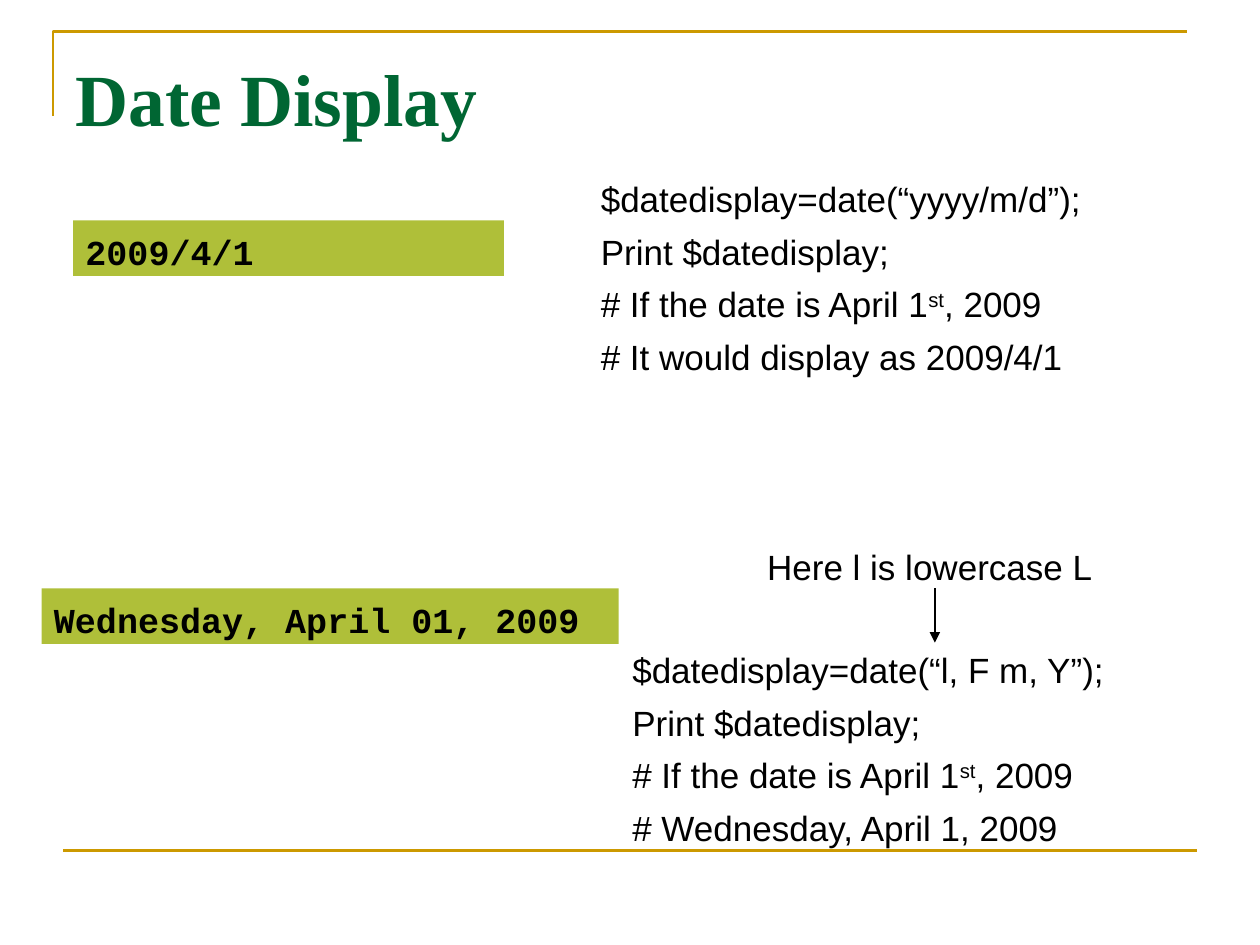
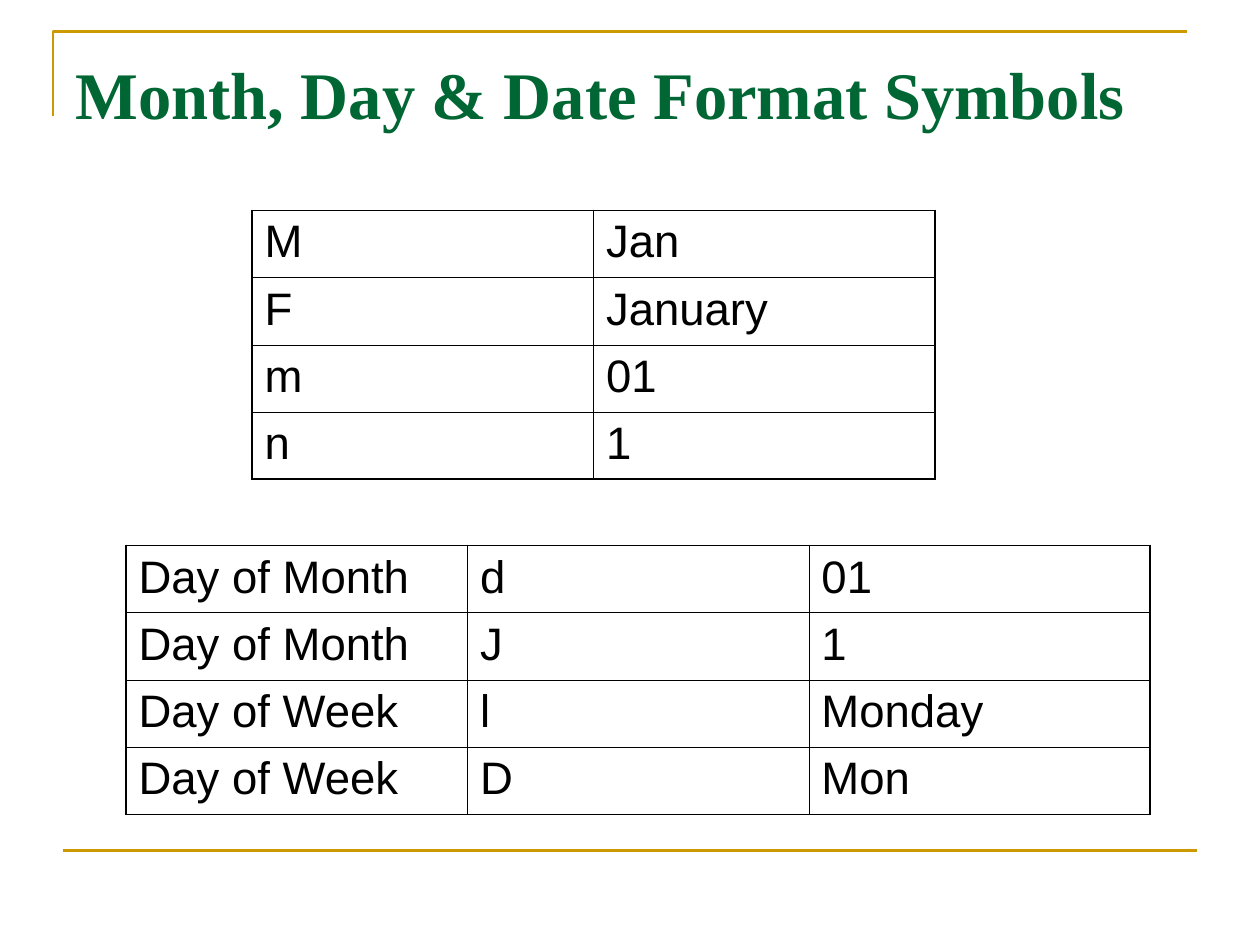
from dataclasses import dataclass

from lxml import etree
from pptx import Presentation
from pptx.dml.color import RGBColor
from pptx.enum.shapes import MSO_CONNECTOR as Connector, MSO_SHAPE as Preset
from pptx.enum.text import MSO_ANCHOR as Anchor, PP_ALIGN as Align
from pptx.oxml.ns import qn
from pptx.util import Inches, Pt

# Shared look
GOLD, GREEN, LIME, BLACK = "CC9900", "006633", "AFBF39", "000000"
SERIF, SANS, MONO = "Times New Roman", "Arial", "Courier New"
OUTER_BORDER, INNER_BORDER = 1.08, 0.45
LINE_GAP = 6


@dataclass(frozen=True)
class Font:
    name: str
    size: float
    color: str = BLACK
    bold: bool = False


@dataclass(frozen=True)
class Area:
    left: float
    top: float
    width: float
    height: float

    def lengths(self) -> list:
        return [Inches(n) for n in (self.left, self.top, self.width, self.height)]


@dataclass(frozen=True)
class Line:
    text: str
    suffix: str = ""  # raised letters after the text
    rest: str = ""
    before: float = LINE_GAP
    margin: float = 0.38
    indent: float = -0.38


@dataclass(frozen=True)
class Grid:
    left: float
    top: float
    rows: list
    column_width: float = 2.71
    row_height: float = 0.53


CODE = Font(SANS, 20)
RESULT = Font(MONO, 20, bold=True)
CELL = Font(SANS, 26)


def rgb(code: str) -> RGBColor:
    return RGBColor.from_string(code)


def add_span(para, text: str, font: Font, raised: bool = False) -> None:
    span = para.add_run()
    span.text = text
    span.font.name = font.name
    span.font.size = Pt(font.size)
    span.font.bold = font.bold
    span.font.color.rgb = rgb(font.color)
    if raised:
        span.font._element.set("baseline", "30000")


def prepare_frame(shape, inset_top: float):
    frame = shape.text_frame
    frame.word_wrap = True
    frame.vertical_anchor = Anchor.TOP
    frame.margin_left = frame.margin_right = Inches(0.1)
    frame.margin_top, frame.margin_bottom = Inches(inset_top), Inches(0.02)
    return frame


def add_title(page, text: str, size: float) -> None:
    box = page.shapes.add_textbox(*Area(0.5, 0.3, 9, 1.25).lengths())
    para = prepare_frame(box, 0.12).paragraphs[0]
    add_span(para, text, Font(SERIF, size, GREEN, bold=True))


def add_line(page, start: tuple, end: tuple, color: str, width: float,
             arrow: bool = False) -> None:
    line = page.shapes.add_connector(
        Connector.STRAIGHT, *[Inches(n) for n in (*start, *end)])
    line.line.color.rgb = rgb(color)
    line.line.width = Pt(width)
    if arrow:
        etree.SubElement(line.line._get_or_add_ln(), qn("a:tailEnd"), type="triangle")
    etree.SubElement(line._element.spPr, qn("a:effectLst"))


def add_rules(page) -> None:
    """Gold corner at the top and gold rule at the foot."""
    builder = page.shapes.build_freeform(Inches(0.42), Inches(0.92))
    builder.add_line_segments(
        [(Inches(0.42), Inches(0.25)), (Inches(9.42), Inches(0.25))], close=False)
    corner = builder.convert_to_shape()
    corner.shadow.inherit = False
    corner.fill.background()
    corner.line.color.rgb = rgb(GOLD)
    corner.line.width = Pt(1.5)
    add_line(page, (0.5, 6.75), (9.5, 6.75), GOLD, 1.5)


def add_code(page, area: Area, lines: list[Line]) -> None:
    frame = prepare_frame(page.shapes.add_textbox(*area.lengths()), 0.08)
    for number, line in enumerate(lines):
        para = frame.add_paragraph() if number else frame.paragraphs[0]
        para.space_before = Pt(line.before if number else 0)
        properties = para._p.get_or_add_pPr()
        properties.set("marL", str(Inches(line.margin)))
        properties.set("indent", str(Inches(line.indent)))
        add_span(para, line.text, CODE)
        if line.suffix:
            add_span(para, line.suffix, CODE, raised=True)
            add_span(para, line.rest, CODE)


def add_result(page, area: Area, text: str) -> None:
    band = page.shapes.add_shape(Preset.RECTANGLE, *area.lengths())
    band.shadow.inherit = False
    band.fill.solid()
    band.fill.fore_color.rgb = rgb(LIME)
    band.line.fill.background()
    para = prepare_frame(band, 0.08).paragraphs[0]
    para.alignment = Align.LEFT
    add_span(para, text, RESULT)


def set_borders(cell, outer_sides: dict[str, bool]) -> None:
    properties = cell._tc.get_or_add_tcPr()
    for position, (side, outer) in enumerate(outer_sides.items()):
        width = Pt(OUTER_BORDER if outer else INNER_BORDER)
        border = etree.Element(qn(f"a:ln{side}"), w=str(width))
        fill = etree.SubElement(border, qn("a:solidFill"))
        etree.SubElement(fill, qn("a:srgbClr"), val=BLACK)
        properties.insert(position, border)


def add_grid(page, grid: Grid) -> None:
    row_count, column_count = len(grid.rows), len(grid.rows[0])
    area = Area(grid.left, grid.top, column_count * grid.column_width,
                row_count * grid.row_height)
    table = page.shapes.add_table(row_count, column_count, *area.lengths()).table
    table.first_row = table.horz_banding = False
    for column in table.columns:
        column.width = Inches(grid.column_width)
    for r, texts in enumerate(grid.rows):
        table.rows[r].height = Inches(grid.row_height)
        for c, text in enumerate(texts):
            cell = table.cell(r, c)
            cell.fill.background()
            add_span(cell.text_frame.paragraphs[0], text, CELL)
            set_borders(cell, {"L": c == 0, "R": c == column_count - 1,
                               "T": r == 0, "B": r == row_count - 1})


def add_page(deck, title: str, title_size: float):
    page = deck.slides.add_slide(deck.slide_layouts[6])
    add_rules(page)
    add_title(page, title, title_size)
    return page


deck = Presentation()
deck.slide_width, deck.slide_height = Inches(10), Inches(7.5)

# Slide 1: two date formats with their results
PRINT = Line("Print $datedisplay;")
CONDITION = Line("# If the date is April 1", "st", ", 2009")

page = add_page(deck, "Date Display", 42)
add_code(page, Area(4.67, 1.33, 4.67, 1.92), [
    Line("$datedisplay=date(“yyyy/m/d”);"),
    PRINT,
    CONDITION,
    Line("# It would display as 2009/4/1"),
])
add_result(page, Area(0.58, 1.75, 3.42, 0.44), "2009/4/1")
add_code(page, Area(4.92, 4.25, 4.67, 2.5), [
    Line("Here l is lowercase L", margin=1.07, indent=0),
    Line("$datedisplay=date(“l, F m, Y”);", before=35),
    PRINT,
    CONDITION,
    Line("# Wednesday, April 1, 2009"),
])
add_result(page, Area(0.33, 4.67, 4.58, 0.44), "Wednesday, April 01, 2009")
add_line(page, (7.42, 4.67), (7.42, 5.1), BLACK, 0.74, arrow=True)

# Slide 2: month symbols, then day symbols
page = add_page(deck, "Month, Day & Date Format Symbols", 38)
add_grid(page, Grid(2, 1.67, [
    ("M", "Jan"),
    ("F", "January"),
    ("m", "01"),
    ("n", "1"),
]))
add_grid(page, Grid(1, 4.33, [
    ("Day of Month", "d", "01"),
    ("Day of Month", "J", "1"),
    ("Day of Week", "l", "Monday"),
    ("Day of Week", "D", "Mon"),
]))

deck.save("out.pptx")
